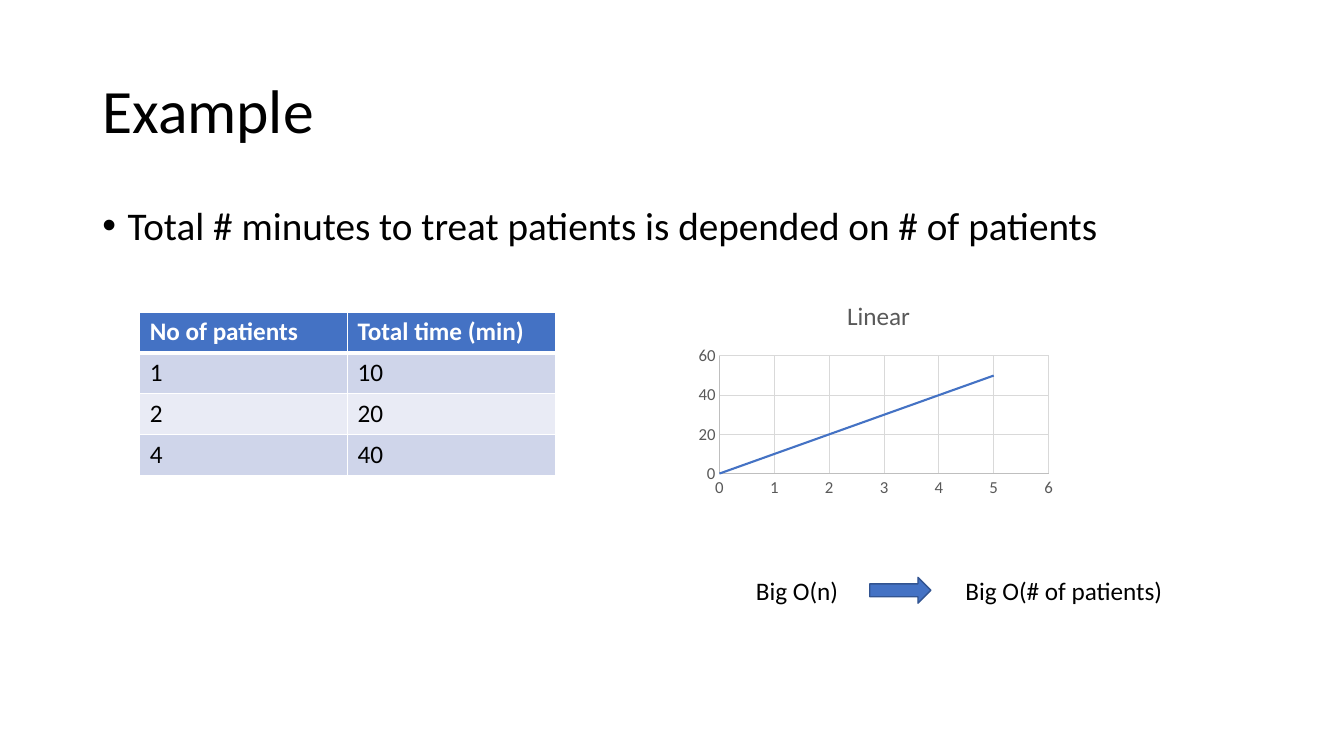
import pptx
import pptx.chart.data
import pptx.dml.color
import pptx.enum.chart
import pptx.enum.shapes
import pptx.enum.text
import pptx.oxml
import pptx.oxml.ns
import pptx.util
from lxml import etree

Cm = pptx.util.Cm
Pt = pptx.util.Pt
qn = pptx.oxml.ns.qn

COLOURS = {
    "text": "000000", "white": "FFFFFF", "blue": "4472C4", "outline": "325491",
    "band_dark": "CFD5EA", "band_light": "E9EBF5",
    "label": "595959", "axis": "BFBFBF", "grid": "D9D9D9",
}


def colour(name):
    return pptx.dml.color.RGBColor.from_string(COLOURS[name])


class SlideBuilder:
    font_name = "Calibri"

    def __init__(self, slide):
        self.slide = slide

    def style_font(self, font, size, name="text", bold=False):
        font.name, font.size, font.bold = self.font_name, Pt(size), bold
        font.color.rgb = colour(name)

    def style_line(self, line, name, width):
        line.color.rgb = colour(name)
        line.width = Pt(width)

    def text(self, box, content, size, anchor="TOP", spacing=1.0):
        frame = self.slide.shapes.add_textbox(*map(Cm, box)).text_frame
        frame.word_wrap = True
        frame.vertical_anchor = pptx.enum.text.MSO_ANCHOR[anchor]
        paragraph = frame.paragraphs[0]
        paragraph.text = content
        paragraph.line_spacing = spacing
        self.style_font(paragraph.font, size)
        return paragraph

    def bullet(self, box, content, size):
        paragraph = self.text(box, content, size, spacing=0.9)
        paragraph.space_before = Pt(10)
        properties = paragraph._p.get_or_add_pPr()
        properties.set("marL", str(Cm(0.64)))
        properties.set("indent", str(-Cm(0.64)))
        font = etree.Element(qn("a:buFont"), typeface="Arial")
        mark = etree.Element(qn("a:buChar"), char="•")
        position = properties.index(properties.find(qn("a:defRPr")))
        properties[position:position] = [font, mark]

    def cell_borders(self, cell, bottom):
        properties = cell._tc.get_or_add_tcPr()
        for side, width in zip("LRTB", (1, 1, 1, bottom)):
            line = etree.SubElement(properties, qn("a:ln" + side), w=str(Pt(width)))
            fill = etree.SubElement(line, qn("a:solidFill"))
            etree.SubElement(fill, qn("a:srgbClr"), val=COLOURS["white"])

    def table(self, box, rows, size):
        frame = self.slide.shapes.add_table(len(rows), len(rows[0]), *map(Cm, box))
        for row_index, row in enumerate(rows):
            header = row_index == 0
            band = "band_dark" if row_index % 2 else "band_light"
            for column_index, content in enumerate(row):
                cell = frame.table.cell(row_index, column_index)
                cell.text = content
                self.style_font(cell.text_frame.paragraphs[0].font, size,
                                "white" if header else "text", header)
                self.cell_borders(cell, 3 if header else 1)
                cell.fill.solid()
                cell.fill.fore_color.rgb = colour("blue" if header else band)

    def scatter(self, box, title, points, plot_area):
        data = pptx.chart.data.XyChartData()
        series_data = data.add_series("Series 1")
        for x, y in points:
            series_data.add_data_point(x, y)
        kind = pptx.enum.chart.XL_CHART_TYPE.XY_SCATTER_LINES_NO_MARKERS
        chart = self.slide.shapes.add_chart(kind, *map(Cm, box), data).chart
        self.style_font(chart.font, 12, "label")
        chart.has_legend = False
        chart.has_title = True
        paragraph = chart.chart_title.text_frame.paragraphs[0]
        paragraph.text = title
        self.style_font(paragraph.font, 18, "label")
        chart.chart_title.include_in_layout = False

        for axis, top, step in ((chart.category_axis, 6, 1), (chart.value_axis, 60, 20)):
            axis.minimum_scale, axis.maximum_scale, axis.major_unit = 0, top, step
            axis.major_tick_mark = pptx.enum.chart.XL_TICK_MARK.NONE
            axis.minor_tick_mark = pptx.enum.chart.XL_TICK_MARK.NONE
            axis.has_major_gridlines = True
            self.style_line(axis.format.line, "axis", 0.75)
            self.style_line(axis.major_gridlines.format.line, "grid", 0.75)
            self.style_font(axis.tick_labels.font, 12, "label")

        chart.plots[0].vary_by_categories = False
        series = chart.plots[0].series[0]
        series.smooth = False
        self.style_line(series.format.line, "blue", 1.5)

        # Fixed inner plot area, as fractions of the chart
        plot = chart._chartSpace.chart.plotArea
        for old in plot.findall(qn("c:layout")):
            plot.remove(old)
        layout = etree.Element(qn("c:layout"))
        manual = etree.SubElement(layout, qn("c:manualLayout"))
        settings = [("layoutTarget", "inner"), ("xMode", "edge"), ("yMode", "edge")]
        for tag, value in settings + list(zip("xywh", plot_area)):
            etree.SubElement(manual, qn("c:" + tag), val=str(value))
        plot.insert(0, layout)

    def arrow(self, box):
        kind = pptx.enum.shapes.MSO_SHAPE.RIGHT_ARROW
        shape = self.slide.shapes.add_shape(kind, *map(Cm, box))
        shape.shadow.inherit = False
        shape.fill.solid()
        shape.fill.fore_color.rgb = colour("blue")
        self.style_line(shape.line, "outline", 1)


presentation = pptx.Presentation()
presentation.slide_width = Cm(33.87)
presentation.slide_height = Cm(19.05)
builder = SlideBuilder(presentation.slides.add_slide(presentation.slide_layouts[6]))

# Title and statement
builder.text((2.33, 1.01, 29.21, 3.68), "Example", 44, "MIDDLE", 0.9)
builder.bullet((2.33, 5.07, 29.21, 12.09),
               "Total # minutes to treat patients is depended on # of patients", 28)

# Treatment times
builder.table((3.52, 7.86, 10.48, 4.12), [
    ("No of patients", "Total time (min)"),
    ("1", "10"),
    ("2", "20"),
    ("4", "40"),
], 18)

# Linear growth
builder.scatter((17.48, 7.16, 9.32, 5.49), "Linear",
                [(patients, 10 * patients) for patients in (0, 1, 2, 4, 5)],
                (0.07, 0.33, 0.89, 0.54))

# Complexity
builder.text((18.8, 14.38, 5.1, 1.03), "Big O(n)", 18)
builder.arrow((21.92, 14.55, 1.54, 0.65))
builder.text((24.08, 14.38, 5.92, 1.03), "Big O(# of patients)", 18)

presentation.save("out.pptx")
